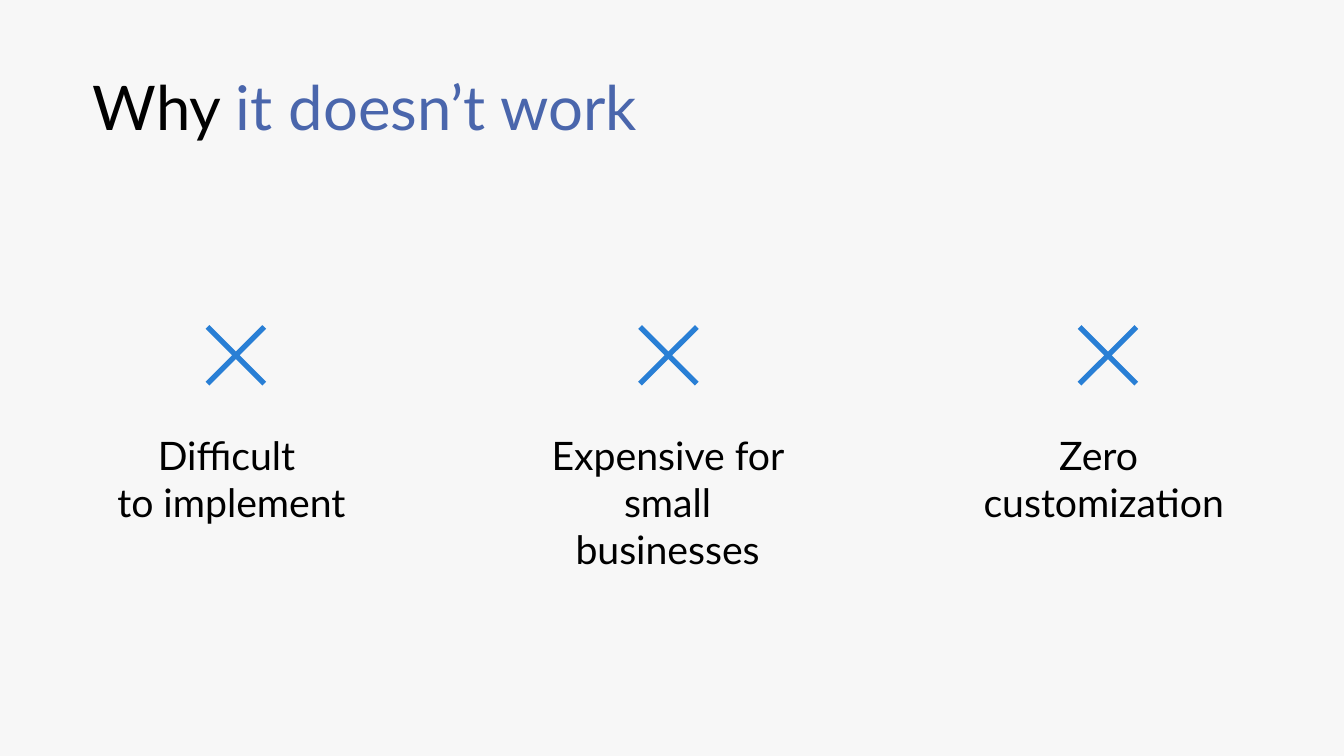
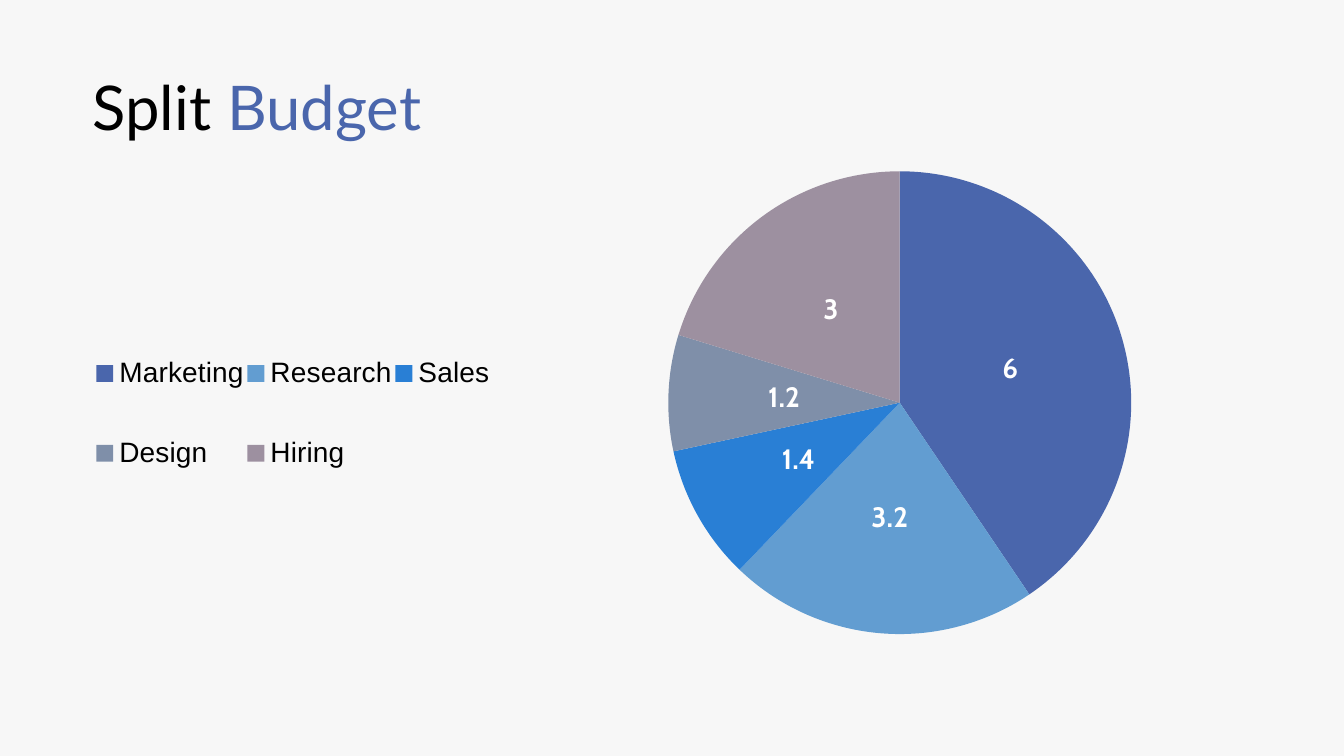
"""Build two slides: three drawbacks under crosses, and a pie chart of a budget."""
from dataclasses import dataclass

from lxml import etree
from pptx import Presentation
from pptx import util as u
from pptx.chart import data as chart_data
from pptx.dml import color
from pptx.enum import chart as charts, text
from pptx.oxml import ns

WIDTH, HEIGHT = u.Inches(13.33), u.Inches(7.5)
PAPER, INK, ACCENT, BRIGHT, WHITE = "F7F7F7", "000000", "4A66AC", "297FD5", "FFFFFF"
BODY_FONT, CHART_FONT, LABEL_FONT = "Lato", "Arial", "Cabin"
MARGIN = 6.9
COLUMN_STEP, COLUMN_WIDTH = 32.45, 21.38
CROSS_ROW, CAPTION_ROW = 47, 56.4
CROSS_ARM = ((2.25, -1.97), (1.97, -2.25), (0, -0.28))


@dataclass(frozen=True)
class Drawback:
    lines: tuple[str, ...]
    cross_center: float


@dataclass(frozen=True)
class Share:
    name: str
    value: float
    fill: str


DRAWBACKS = (
    Drawback(("Difficult ", "to implement"), 17.55),
    Drawback(("Expensive for small businesses",), 49.74),
    Drawback(("Zero ", "customization"), 82.44),
)
BUDGET = (
    Share("Marketing", 6, ACCENT),
    Share("Research", 3.2, "629DD1"),
    Share("Sales", 1.4, BRIGHT),
    Share("Design", 1.2, "7F8FA9"),
    Share("Hiring", 3, "9D90A0"),
)


def across(percent: float) -> int:
    """Return a percentage of the slide width."""
    return round(WIDTH * percent / 100)


def down(percent: float) -> int:
    """Return a percentage of the slide height."""
    return round(HEIGHT * percent / 100)


def place(left: float, top: float, width: float, height: float) -> tuple:
    """Turn percentages of the slide into a position and size."""
    return across(left), down(top), across(width), down(height)


def rgb(value: str) -> color.RGBColor:
    """Turn a hex string into a colour."""
    return color.RGBColor.from_string(value)


def style_font(font, name: str, size: float, ink: str, bold: bool = False) -> None:
    """Set the face, size, colour and weight of a font."""
    font.name, font.size, font.bold = name, u.Pt(size), bold
    font.color.rgb = rgb(ink)


def add_span(para, words: str, size: float, ink: str) -> None:
    """Add one run of body text."""
    span = para.add_run()
    span.text = words
    style_font(span.font, BODY_FONT, size, ink)


def set_frame(frame) -> None:
    """Give a text frame the shared insets, wrapping and anchor."""
    frame.word_wrap = True
    frame.auto_size = text.MSO_AUTO_SIZE.SHAPE_TO_FIT_TEXT
    frame.vertical_anchor = text.MSO_ANCHOR.TOP
    frame.margin_left, frame.margin_right = 0, u.Inches(0.1)
    frame.margin_top = frame.margin_bottom = u.Inches(0.05)


def add_page(deck, plain: str, accented: str, width: float, height: float):
    """Add a slide with a two-colour title."""
    page = deck.slides.add_slide(deck.slide_layouts[5])
    title = page.shapes.title
    title.left, title.top, title.width, title.height = place(MARGIN, 9.6, width, height)
    set_frame(title.text_frame)
    para = title.text_frame.paragraphs[0]
    para.alignment = text.PP_ALIGN.LEFT
    para.line_spacing = 0.9
    add_span(para, plain, 44, INK)
    add_span(para, accented, 44, ACCENT)
    return page


def add_caption(page, left: float, lines: tuple[str, ...]) -> None:
    """Add a centred caption with line breaks between its lines."""
    box = page.shapes.add_textbox(*place(left, CAPTION_ROW, COLUMN_WIDTH, 13.87))
    set_frame(box.text_frame)
    para = box.text_frame.paragraphs[0]
    para.alignment = text.PP_ALIGN.CENTER
    for index, line in enumerate(lines):
        if index:
            para.add_line_break()
        add_span(para, line, 28, INK)


def add_cross(page, center: float) -> None:
    """Draw a diagonal cross by turning one arm through four quarters."""
    points, arm = [], CROSS_ARM
    for _ in range(4):
        points += [(across(center + x), down(CROSS_ROW) + across(y)) for x, y in arm]
        arm = [(y, -x) for x, y in arm]
    outline = page.shapes.build_freeform(*points[0])
    outline.add_line_segments(points[1:], close=True)
    cross = outline.convert_to_shape()
    cross.shadow.inherit = False
    cross.fill.solid()
    cross.fill.fore_color.rgb = rgb(BRIGHT)
    cross.line.fill.background()


def set_layout(parent, index: int, inner: bool, **lengths: float) -> None:
    """Fix a chart part at shares of the chart's size."""
    for old in parent.findall(ns.qn("c:layout")):
        parent.remove(old)
    layout = etree.Element(ns.qn("c:layout"))
    manual = etree.SubElement(layout, ns.qn("c:manualLayout"))
    settings = {"layoutTarget": "inner"} if inner else {}
    settings |= {"xMode": "edge", "yMode": "edge"} | lengths
    for name, value in settings.items():
        etree.SubElement(manual, ns.qn(f"c:{name}")).set("val", str(value))
    parent.insert(index, layout)


def add_budget_chart(page) -> None:
    """Add the budget pie with its legend at the left."""
    data = chart_data.CategoryChartData()
    data.categories = [share.name for share in BUDGET]
    data.add_series("Series 1", [share.value for share in BUDGET])
    chart = page.shapes.add_chart(
        charts.XL_CHART_TYPE.PIE, *place(MARGIN, 22.53, 93.1, 70.67), data
    ).chart
    chart.has_title = False
    style_font(chart.font, CHART_FONT, 10, INK)
    chart.has_legend = True
    legend = chart.legend
    legend.position = charts.XL_LEGEND_POSITION.BOTTOM
    legend.include_in_layout = False
    style_font(legend.font, CHART_FONT, 20, INK)
    plot = chart.plots[0]
    plot.vary_by_categories = True
    series = plot.series[0]
    for index, share in enumerate(BUDGET):
        fill = series.points[index].format.fill
        fill.solid()
        fill.fore_color.rgb = rgb(share.fill)
    labels = series.data_labels
    labels.show_value = True
    labels.position = charts.XL_LABEL_POSITION.CENTER
    style_font(labels.font, LABEL_FONT, 20, WHITE, bold=True)
    plot_area = chart.element.xpath(".//c:plotArea")[0]
    legend_part = chart.element.xpath(".//c:legend")[0]
    set_layout(plot_area, 0, True, x=0.46, y=0, w=0.37, h=0.87)
    set_layout(legend_part, 1, False, x=0, y=0.26, w=0.32, h=0.39)


def main() -> None:
    """Build and save the deck."""
    deck = Presentation()
    deck.slide_width, deck.slide_height = WIDTH, HEIGHT
    paper = deck.slide_master.background.fill
    paper.solid()
    paper.fore_color.rgb = rgb(PAPER)

    drawbacks_page = add_page(deck, "Why ", "it doesn’t work", 42.69, 19.07)
    for column, drawback in enumerate(DRAWBACKS):
        add_caption(drawbacks_page, MARGIN + column * COLUMN_STEP, drawback.lines)
        add_cross(drawbacks_page, drawback.cross_center)

    add_budget_chart(add_page(deck, "Split", " Budget", 36.76, 10.27))
    deck.save("out.pptx")


if __name__ == "__main__":
    main()
